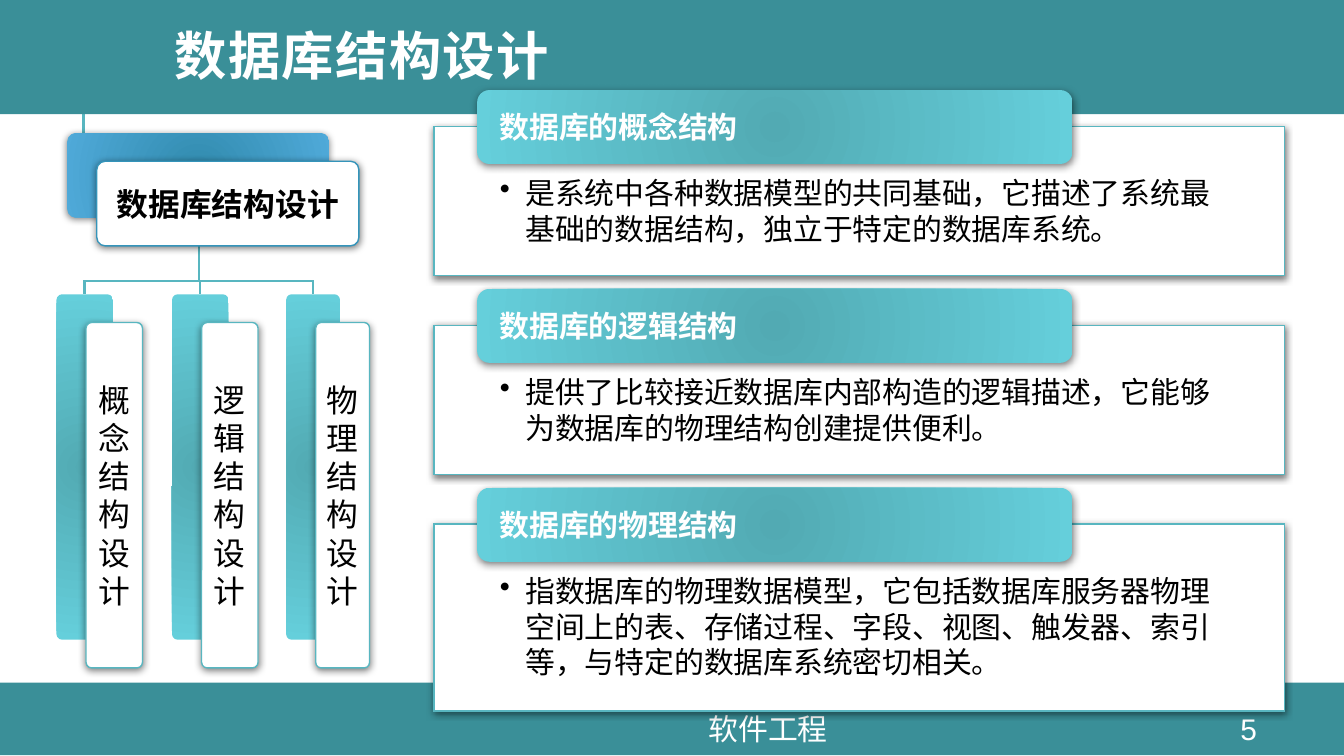
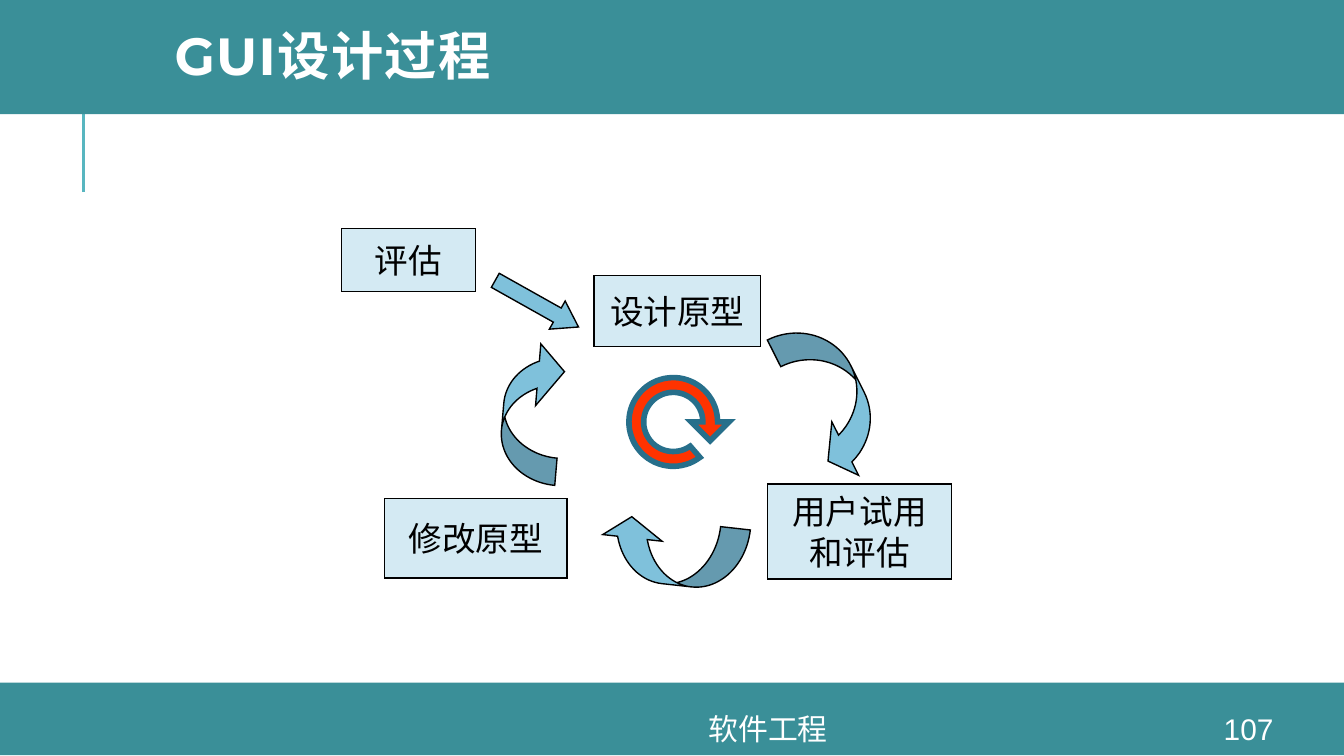
import math

import pptx
import pptx.dml.color
import pptx.enum.shapes
import pptx.enum.text
import pptx.oxml
import pptx.oxml.ns
import pptx.util
from lxml import etree

Inches, Pt = pptx.util.Inches, pptx.util.Pt
SHAPE = pptx.enum.shapes.MSO_SHAPE
ALIGN = pptx.enum.text.PP_ALIGN
ANCHOR = pptx.enum.text.MSO_ANCHOR
qn = pptx.oxml.ns.qn

COLORS = {
    "band": "3A8F98", "teal": "58B6C0", "white": "FFFFFF", "black": "000000",
    "blue": "3494BA", "node": "D4EAF3", "arrow": "7FC1DB",
    "loop": "FF3300", "loop_edge": "276F8B",
}
TEAL_GRADIENT = ("52AAB3", "65CFDB")
BLUE_GRADIENT = ("308AAD", "50AAD9")
FOOTER = "软件工程"


# Shared drawing helpers
def rgb(name):
    return pptx.dml.color.RGBColor.from_string(COLORS[name])


def sub(parent, tag, **attrs):
    el = etree.SubElement(parent, qn(tag))
    for key, value in attrs.items():
        el.set(key, str(value))
    return el


def style(sp, fill=None, line=None, width=0.75, shadow=False):
    """Set fill, outline and shadow; a tuple as fill gives a radial gradient."""
    if isinstance(fill, str):
        sp.fill.solid()
        sp.fill.fore_color.rgb = rgb(fill)
    else:
        sp.fill.background()
    if line:
        sp.line.color.rgb = rgb(line)
        sp.line.width = Pt(width)
        sub(sp._element.spPr.find(qn("a:ln")), "a:miter", lim=800000)
    else:
        sp.line.fill.background()
    sp.shadow.inherit = False
    spPr = sp._element.spPr
    if isinstance(fill, tuple):
        grad = etree.Element(qn("a:gradFill"), rotWithShape="1")
        stops = sub(grad, "a:gsLst")
        for pos, value in zip((0, 100000), fill):
            sub(sub(stops, "a:gs", pos=pos), "a:srgbClr", val=value)
        edge = 100000
        sub(sub(grad, "a:path", path="circle"), "a:fillToRect",
            l=edge, t=edge, r=edge, b=edge)
        spPr.replace(spPr.find(qn("a:noFill")), grad)
    if shadow:
        shade = sub(spPr.find(qn("a:effectLst")), "a:outerShdw", blurRad=Pt(4),
                    dist=Pt(1), dir=90 * 60000, rotWithShape=0)
        sub(sub(shade, "a:srgbClr", val=COLORS["black"]), "a:alpha", val=50000)


def add_box(s, kind, box, adj=(), **look):
    sp = s.shapes.add_shape(kind, *map(Inches, box))
    for i, value in enumerate(adj):
        sp.adjustments[i] = value
    style(sp, **look)
    return sp


def add_outline(s, points, closed=False, **look):
    pts = [(Inches(x), Inches(y)) for x, y in points]
    fb = s.shapes.build_freeform(*pts[0], scale=1.0)
    fb.add_line_segments(pts[1:], close=closed)
    sp = fb.convert_to_shape()
    style(sp, **look)
    return sp


def write(sp, lines, size, color="black", bold=False, align=ALIGN.CENTER,
          anchor=ANCHOR.MIDDLE, insets=(0.1, 0.05, 0.1, 0.05), wrap=True,
          font="Arial", bullet=False, line_spacing=None, spacing=None):
    tf = sp.text_frame
    tf.word_wrap = wrap
    tf.vertical_anchor = anchor
    tf.margin_left, tf.margin_top, tf.margin_right, tf.margin_bottom = map(Inches, insets)
    for i, text in enumerate(lines):
        p = tf.add_paragraph() if i else tf.paragraphs[0]
        p.alignment = align
        if line_spacing:
            p.line_spacing = line_spacing
        if bullet:
            pPr = p._p.get_or_add_pPr()
            pPr.set("marL", str(Inches(0.19)))
            pPr.set("indent", str(-Inches(0.19)))
            sub(pPr, "a:buChar", char="•")
        r = p.add_run()
        r.text = text
        r.font.name, r.font.size, r.font.bold = font, Pt(size), bold
        r.font.color.rgb = rgb(color)
        if spacing:
            r._r.get_or_add_rPr().set("spc", str(spacing))


def add_text(s, box, text, size, **kw):
    write(s.shapes.add_textbox(*map(Inches, box)), [text], size, **kw)


# Frame shared by all slides: accent line, bands, title, footer
def add_frame(prs, title, number):
    s = prs.slides.add_slide(prs.slide_layouts[6])
    cx = s.shapes.add_connector(pptx.enum.shapes.MSO_CONNECTOR.STRAIGHT,
                                *map(Inches, (0.62, 1.43, 0.62, 0.68)))
    cx.line.color.rgb = rgb("teal")
    cx.line.width = Pt(1.5)
    sub(cx._element.spPr, "a:effectLst")
    add_box(s, SHAPE.RECTANGLE, (0, 5.08, 10, 0.54), fill="band")
    add_box(s, SHAPE.RECTANGLE, (0, 0, 10, 0.85), fill="band")
    add_text(s, (1.2, 0, 8.49, 0.9), title, 28, color="white", bold=True,
             align=ALIGN.LEFT, font="Montserrat", line_spacing=0.8, spacing=80)
    add_text(s, (2.61, 5.31, 6.21, 0.23), FOOTER, 16, color="white")
    add_text(s, (8.89, 5.31, 0.8, 0.23), str(number), 16, color="white")
    return s


# Card of the hierarchy: coloured back plate and white label in front
def add_card(s, box, text, gradient, line, bold=False, plate_shadow=False):
    x, y, w, h = box
    add_box(s, SHAPE.ROUNDED_RECTANGLE, box, (0.1,), fill=gradient, shadow=plate_shadow)
    label = add_box(s, SHAPE.ROUNDED_RECTANGLE, (x + 0.22, y + 0.21, w, h), (0.1,),
                    fill="white", line=line, shadow=True)
    write(label, [text], 17, bold=bold, insets=(0.07,) * 4)


def add_hierarchy(s, x, y, root, children):
    root_w, root_h, child_y = 1.95, 0.63, y + 1.2
    stem = x + 1.06
    # Branches first, so that the cards cover their ends
    for _, dx, w in children:
        cx = x + dx + w / 2
        add_outline(s, [(stem, y + root_h), (stem, child_y - 0.1),
                        (cx, child_y - 0.1), (cx, child_y)], line="teal", width=1.25)
    add_card(s, (x + 0.08, y, root_w, root_h), root, BLUE_GRADIENT, "blue",
             bold=True, plate_shadow=True)
    for text, dx, w in children:
        add_card(s, (x + dx, child_y, w, 2.57), text, TEAL_GRADIENT, "teal")


# Panel with a heading tab that overlaps its top edge
def add_panel(s, box, heading, body):
    x, y, w, h = box
    panel = add_box(s, SHAPE.RECTANGLE, box, fill="white", line="teal", shadow=True)
    write(panel, [body], 16, align=ALIGN.LEFT, anchor=ANCHOR.TOP,
          insets=(0.49, 0.36, 0.49, 0.12), bullet=True)
    tab = add_box(s, SHAPE.ROUNDED_RECTANGLE, (x + 0.32, y - 0.27, 0.7 * w, 0.55),
                  fill=TEAL_GRADIENT, shadow=True)
    write(tab, [heading], 16, color="white", bold=True, align=ALIGN.LEFT,
          insets=(0.14, 0, 0.14, 0))


def structure_slide(prs):
    s = add_frame(prs, "数据库结构设计", 5)
    add_hierarchy(s, 0.42, 0.99, "数据库结构设计", [
        ("概念结构设计", 0, 0.42),
        ("逻辑结构设计", 0.86, 0.42),
        ("物理结构设计", 1.71, 0.4),
    ])
    panels = [
        ("数据库的概念结构", 1.11,
         "是系统中各种数据模型的共同基础，它描述了系统最基础的数据结构，独立于特定的数据库系统。"),
        ("数据库的逻辑结构", 1.11,
         "提供了比较接近数据库内部构造的逻辑描述，它能够为数据库的物理结构创建提供便利。"),
        ("数据库的物理结构", 1.39,
         "指数据库的物理数据模型，它包括数据库服务器物理空间上的表、存储过程、字段、视图、"
         "触发器、索引等，与特定的数据库系统密切相关。"),
    ]
    for i, (heading, h, body) in enumerate(panels):
        add_panel(s, (3.23, 0.94 + 1.48 * i, 6.33, h), heading, body)


# Circular arrow: inner arc, tail, outer arc, then the arrow head
def add_loop(s, cx, cy, outer, inner):
    def arc(radius, start, end, steps=60):
        angles = [math.radians(start + (end - start) * i / steps) for i in range(steps + 1)]
        return [(cx + radius * math.cos(a), cy + radius * math.sin(a)) for a in angles]

    mid = (outer + inner) / 2
    head = [(cx + mid + 0.14, cy), (cx + mid, cy + 0.14), (cx + mid - 0.14, cy)]
    add_outline(s, arc(inner, 0, -305) + arc(outer, -307, 0) + head, closed=True,
                fill="loop", line="loop_edge", width=3)


def process_slide(prs):
    s = add_frame(prs, "GUI设计过程", 107)
    # Steps
    steps = [
        ((4.42, 2.05, 1.24, 0.53), ["设计原型"]),
        ((5.71, 3.6, 1.37, 0.71), ["用户试用", "和评估"]),
        ((2.86, 3.71, 1.36, 0.59), ["修改原型"]),
        ((2.54, 1.7, 1, 0.47), ["评估"]),
    ]
    for box, lines in steps:
        sp = add_box(s, SHAPE.RECTANGLE, box, fill="node", line="black")
        write(sp, lines, 18, wrap=False)
    # Arrows between the steps
    curved, straight = SHAPE.CURVED_DOWN_ARROW, SHAPE.RIGHT_ARROW
    arrows = [
        (curved, (5.58, 2.74, 1.23, 0.47), 63.4, (0.473, 0.946, 0.333)),
        (curved, (4.45, 3.88, 1.11, 0.47), 186.4, (0.473, 0.946, 0.333)),
        (curved, (3.42, 2.84, 1.08, 0.43), 274.9, (0.473, 1.073, 0.448)),
        (straight, (3.64, 2.14, 0.71, 0.24), 29.3, (0.5, 0.753)),
    ]
    for kind, box, turn, adj in arrows:
        add_box(s, kind, box, adj, fill="arrow", line="black").rotation = turn
    add_loop(s, 5.01, 3.14, 0.33, 0.22)


def main():
    prs = pptx.Presentation()
    # Widescreen 16:9
    prs.slide_width = Inches(10)
    prs.slide_height = prs.slide_width * 9 // 16
    structure_slide(prs)
    process_slide(prs)
    prs.save("out.pptx")


if __name__ == "__main__":
    main()
